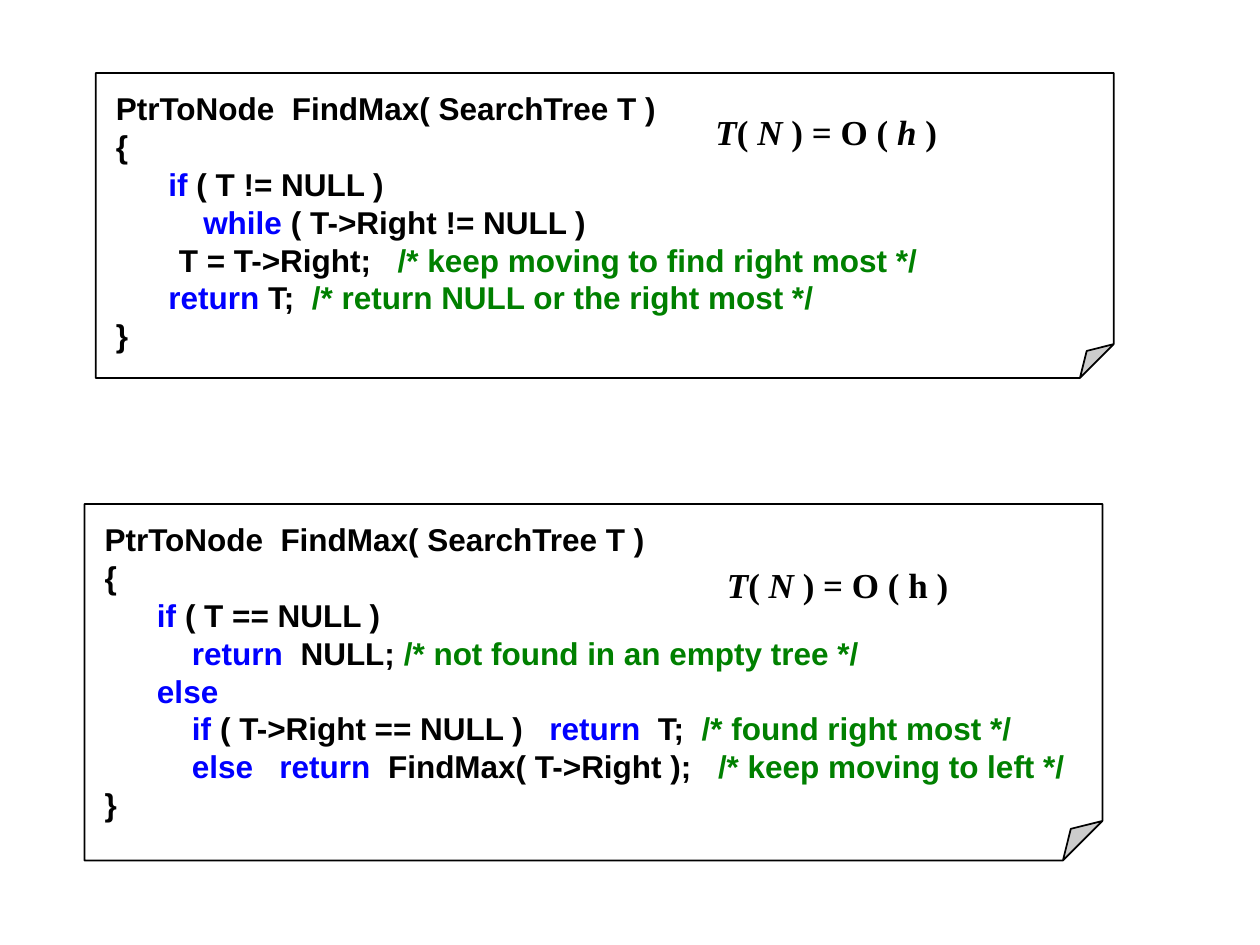
from lxml import etree
from pptx import Presentation
from pptx import util as u
from pptx.dml.color import RGBColor
from pptx.enum import shapes, text
from pptx.oxml.ns import qn

BLACK = RGBColor(0x00, 0x00, 0x00)
WHITE = RGBColor(0xFF, 0xFF, 0xFF)
KEYWORD = RGBColor(0x00, 0x00, 0xFF)
COMMENT = RGBColor(0x00, 0x80, 0x00)

CODE_FONT = {"name": "Arial", "size": u.Pt(18), "bold": True}
FORMULA_FONT = {"name": "Times New Roman", "size": u.Pt(20), "bold": True}
CODE_FRAME = {
    "margin_left": u.Inches(0.16), "margin_top": u.Inches(0.13),
    "margin_right": u.Inches(0.04), "margin_bottom": u.Inches(0.05),
    "vertical_anchor": text.MSO_ANCHOR.TOP, "word_wrap": True,
}


def apply_format(target, values):
    for attribute, value in values.items():
        setattr(target, attribute, value)


def add_run(paragraph, words, font_values, color=BLACK, italic=False):
    run = paragraph.add_run()
    run.text = words
    apply_format(run.font, font_values)
    run.font.italic = italic
    run.font.color.rgb = color


prs = Presentation()
prs.slide_width, prs.slide_height = u.Inches(10), u.Inches(7.5)
slide = prs.slides.add_slide(prs.slide_layouts[6])

# Code: each line is a list of (words, colour) pieces
signature = [[("PtrToNode  FindMax( SearchTree T )", BLACK)], [("{", BLACK)]]
closing = [[("}", BLACK)]]

recursive_body = [
    [("      if", KEYWORD), (" ( T == NULL )", BLACK)],
    [("          return", KEYWORD), ("  NULL; ", BLACK),
     ("/* not found in an empty tree */", COMMENT)],
    [("      else", KEYWORD)],
    [("          if ", KEYWORD), ("( T->Right == NULL )  ", BLACK),
     (" return", KEYWORD), ("  T;  ", BLACK), ("/* found right most */", COMMENT)],
    [("          else   return", KEYWORD), ("  FindMax( T->Right );   ", BLACK),
     ("/* keep moving to left */", COMMENT)],
]
iterative_body = [
    [("      if ", KEYWORD), ("( T != NULL )", BLACK)],
    [("          while ", KEYWORD), ("( T->Right != NULL )", BLACK)],
    [("\tT = T->Right;   ", BLACK),
     ("/* keep moving to find right most */", COMMENT)],
    [("      return", KEYWORD), (" T;  ", BLACK),
     ("/* return NULL or the right most */", COMMENT)],
]

# Folded notes holding the two versions of FindMax
for left, top, height, body in [(0.67, 4, 2.83, recursive_body),
                                (0.76, 0.58, 2.42, iterative_body)]:
    note = slide.shapes.add_shape(
        shapes.MSO_SHAPE.FOLDED_CORNER,
        u.Inches(left), u.Inches(top), u.Inches(8.08), u.Inches(height))
    # Fold size, in 1/100000 of the height; python-pptx lists no adjustment here
    fold = note._element.spPr.find(".//" + qn("a:avLst"))
    etree.SubElement(fold, qn("a:gd"), name="adj", fmla="val 11100")
    note.shadow.inherit = False
    note.fill.solid()
    note.fill.fore_color.rgb = WHITE
    note.line.color.rgb = BLACK
    note.line.width = u.Pt(1)
    apply_format(note.text_frame, CODE_FRAME)
    for number, pieces in enumerate(signature + body + closing):
        line = note.text_frame.add_paragraph() if number else note.text_frame.paragraphs[0]
        line.alignment = text.PP_ALIGN.LEFT
        for words, color in pieces:
            add_run(line, words, CODE_FONT, color)

# Running times: pieces are (words, italic)
formula_start = [("T", True), ("( ", False), ("N", True)]
for left, top, ending in [
        (5.58, 0.83, [(" ) = O ( ", False), ("h", True), (" )", False)]),
        (5.67, 4.42, [(" ) = O ( h )", False)])]:
    formula = slide.shapes.add_textbox(
        u.Inches(left), u.Inches(top), u.Inches(2.42), u.Inches(0.43))
    formula.text_frame.word_wrap = True
    formula.text_frame.auto_size = text.MSO_AUTO_SIZE.SHAPE_TO_FIT_TEXT
    for words, italic in formula_start + ending:
        add_run(formula.text_frame.paragraphs[0], words, FORMULA_FONT, italic=italic)

prs.save("out.pptx")
